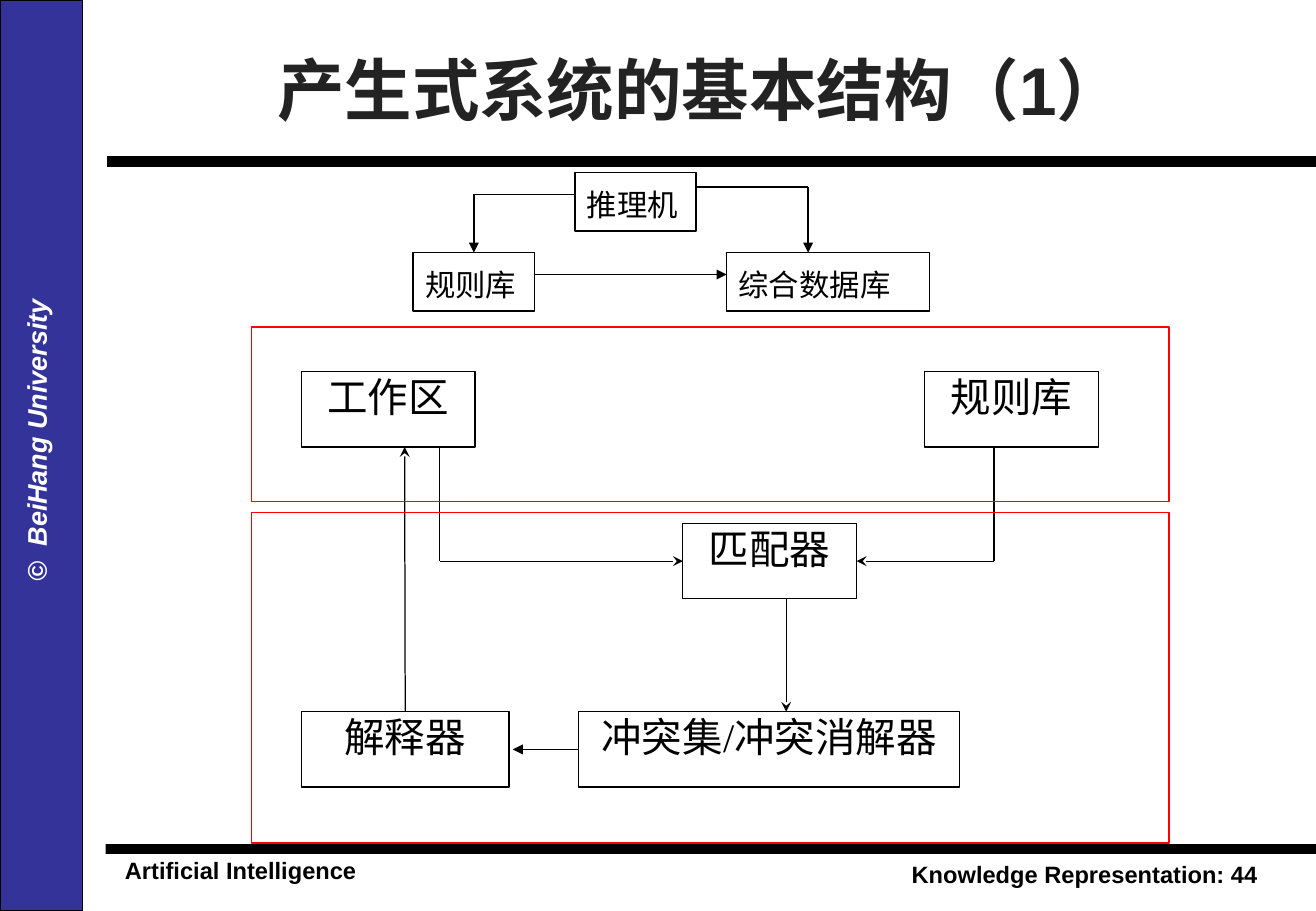
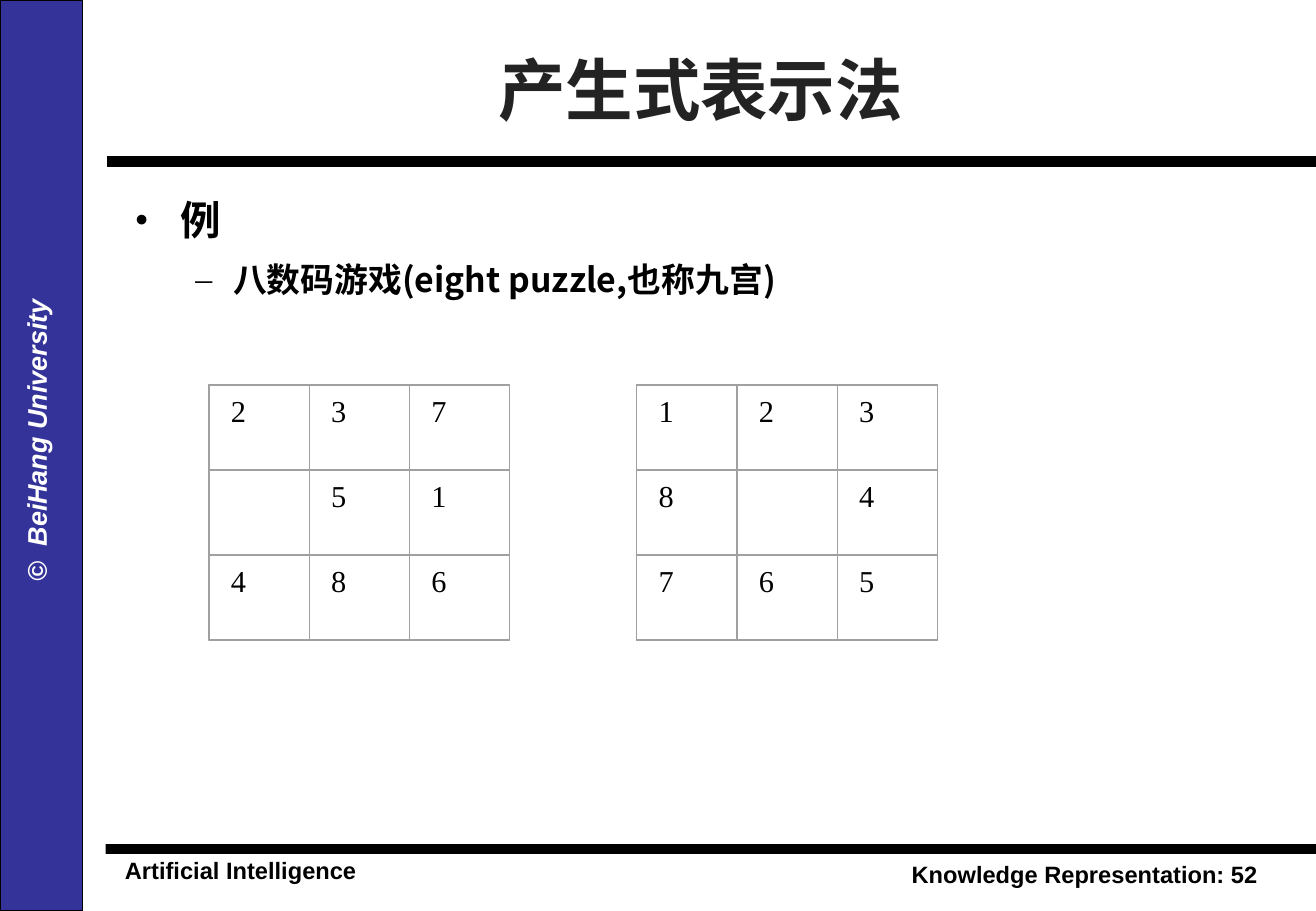
from dataclasses import dataclass

from lxml import etree
from pptx import Presentation
from pptx.dml.color import RGBColor
from pptx.enum.shapes import MSO_CONNECTOR, MSO_SHAPE
from pptx.enum.text import MSO_ANCHOR, MSO_AUTO_SIZE, PP_ALIGN
from pptx.oxml.ns import qn
from pptx.util import Inches, Pt

LEFT, CENTER, RIGHT = PP_ALIGN.LEFT, PP_ALIGN.CENTER, PP_ALIGN.RIGHT
JUSTIFY = PP_ALIGN.JUSTIFY
TOP, MIDDLE = MSO_ANCHOR.TOP, MSO_ANCHOR.MIDDLE
NO_AUTOFIT = MSO_AUTO_SIZE.NONE
RECTANGLE = MSO_SHAPE.RECTANGLE
STRAIGHT = MSO_CONNECTOR.STRAIGHT
TITLE_ONLY = 5
SIDE_TOP, SIDE_LEFT, SIDE_RIGHT = 0, 1, 3


@dataclass(frozen=True)
class Theme:
    black: str = "000000"
    white: str = "FFFFFF"
    band: str = "333399"
    title: str = "232323"
    frame: str = "FF0000"
    grid: str = "A0A0A0"
    sans: str = "Arial"
    serif: str = "Times New Roman"
    chinese: str = "Noto Sans CJK SC"
    title_size: int = 40
    large_size: int = 24
    medium_size: int = 20
    text_size: int = 18
    band_size: int = 16
    footer_size: int = 14


THEME = Theme()


# Text
def write(text_frame, text, *, size, font=THEME.sans, color=THEME.black,
          bold=False, italic=False, align=LEFT, anchor=TOP, top_inset=0.05,
          side_inset=0.1, line_spacing=None, wrap=True):
    text_frame.auto_size = NO_AUTOFIT
    text_frame.word_wrap = wrap
    text_frame.vertical_anchor = anchor
    text_frame.margin_left = text_frame.margin_right = Inches(side_inset)
    text_frame.margin_top = Inches(top_inset)
    text_frame.margin_bottom = Inches(0.05)
    paragraph = text_frame.paragraphs[0]
    paragraph.alignment = align
    if line_spacing:
        paragraph.line_spacing = line_spacing
    add_run(paragraph, text, size, font, color, bold, italic)


def add_run(paragraph, text, size, font, color=THEME.black, bold=False, italic=False):
    run = paragraph.add_run()
    run.text = text
    run.font.size = Pt(size)
    run.font.name = font
    run.font.bold = bold
    run.font.italic = italic
    run.font.color.rgb = RGBColor.from_string(color)
    latin = run.font._element.find(qn("a:latin"))
    east_asian = etree.Element(qn("a:ea"), typeface=THEME.chinese)
    latin.addnext(east_asian)


def add_text(slide, box, text, **text_format):
    shape = slide.shapes.add_textbox(*map(Inches, box))
    write(shape.text_frame, text, **text_format)
    return shape


def add_bullets(slide, box, items):
    text_frame = slide.shapes.add_textbox(*map(Inches, box)).text_frame
    text_frame.word_wrap = True
    for index, (text, symbol, size, margin, hanging) in enumerate(items):
        paragraph = text_frame.add_paragraph() if index else text_frame.paragraphs[0]
        properties = paragraph._p.get_or_add_pPr()
        properties.set("marL", str(Inches(margin)))
        properties.set("indent", str(-Inches(hanging)))
        etree.SubElement(properties, qn("a:buFont"), typeface=THEME.serif)
        etree.SubElement(properties, qn("a:buChar"), char=symbol)
        if index:
            paragraph.space_before = Pt(9)
        add_run(paragraph, text, size, THEME.chinese, bold=True)


# Shapes and lines
def add_box(slide, box, fill=None, line=THEME.black, width=1, text=None, **text_format):
    shape = slide.shapes.add_shape(RECTANGLE, *map(Inches, box))
    shape.shadow.inherit = False
    if fill:
        shape.fill.solid()
        shape.fill.fore_color.rgb = RGBColor.from_string(fill)
    else:
        shape.fill.background()
    if line:
        shape.line.color.rgb = RGBColor.from_string(line)
        shape.line.width = Pt(width)
    else:
        shape.line.fill.background()
    if text:
        write(shape.text_frame, text, **text_format)
    return shape


def add_path(slide, points, width=1, arrow=None, begin=None, end=None):
    """Draw straight segments; begin and end are (shape, side) joints."""
    segments = []
    for start, stop in zip(points, points[1:]):
        connector = slide.shapes.add_connector(STRAIGHT, *map(Inches, start + stop))
        connector.line.color.rgb = RGBColor.from_string(THEME.black)
        connector.line.width = Pt(width)
        etree.SubElement(connector._element.spPr, qn("a:effectLst"))
        segments.append(connector)
    if arrow:
        line = segments[-1].line._get_or_add_ln()
        etree.SubElement(line, qn("a:tailEnd"), type=arrow)
    if begin:
        segments[0].begin_connect(*begin)
    if end:
        segments[-1].end_connect(*end)


# Puzzle boards
def add_board(slide, left, top, rows):
    cell_width, cell_height = 0.825, 0.7
    for row_index, row in enumerate(rows):
        for column_index, digit in enumerate(row):
            cell = (left + column_index * cell_width, top + row_index * cell_height,
                    cell_width, cell_height)
            add_box(slide, cell, line=THEME.grid, width=0, text=digit.strip(),
                    size=THEME.text_size, font=THEME.serif, align=JUSTIFY,
                    top_inset=0.06, side_inset=0.18)
    add_box(slide, (left, top, cell_width * len(rows[0]), cell_height * len(rows)),
            line=THEME.grid, width=0.75)


# Shared slide frame
def add_slide(presentation, title, page):
    slide = presentation.slides.add_slide(presentation.slide_layouts[TITLE_ONLY])
    footer = dict(size=THEME.footer_size, bold=True)
    add_text(slide, (0.93, 7, 2.17, 0.33), "Artificial Intelligence", wrap=False, **footer)
    add_text(slide, (7.23, 7.03, 3.22, 0.33), f"Knowledge Representation: {page}",
             align=RIGHT, **footer)
    add_box(slide, (0.87, 6.95, 9.96, 0.08), fill=THEME.black, line=None)
    add_box(slide, (0, 0, 0.68, 7.5), fill=THEME.band)
    add_path(slide, [(0.88, 1.33), (10.83, 1.33)], width=6)
    owner = add_text(slide, (-3.29, 3.44, 7.18, 0.37), "©  BeiHang University",
                     size=THEME.band_size, color=THEME.white, bold=True, italic=True,
                     align=CENTER)
    owner.rotation = 270

    heading = slide.shapes.title
    heading.left, heading.top, heading.width, heading.height = map(
        Inches, (1.17, 0.21, 9.19, 1.03))
    write(heading.text_frame, title, size=THEME.title_size, color=THEME.title,
          bold=True, align=CENTER, anchor=MIDDLE)
    return slide


# Slide contents
def add_workflow(slide):
    def node(left, top, width, text):
        return add_box(slide, (left, top, width, 0.62), fill=THEME.white, width=0.75,
                       text=text, size=THEME.large_size, font=THEME.serif,
                       align=CENTER, top_inset=0)

    def flow(*points, **joints):
        add_path(slide, points, width=0.75, arrow="stealth", **joints)

    interpreter = node(2.48, 5.86, 1.71, "解释器")
    resolver = node(4.76, 5.86, 3.14, "冲突集/冲突消解器")
    node(2.48, 3.06, 1.43, "工作区")
    node(7.61, 3.06, 1.43, "规则库")
    matcher = node(5.62, 4.31, 1.43, "匹配器")

    flow((3.33, 5.86), (3.33, 3.68), begin=(interpreter, SIDE_TOP))
    flow((3.62, 3.68), (3.62, 4.62), (5.62, 4.62), end=(matcher, SIDE_LEFT))
    flow((8.18, 3.68), (8.18, 4.62), (7.05, 4.62), end=(matcher, SIDE_RIGHT))
    flow((6.47, 4.93), (6.47, 5.86))
    add_path(slide, [(4.76, 6.17), (4.22, 6.17)], arrow="triangle",
             begin=(resolver, SIDE_LEFT))

    for top, height in ((2.69, 1.44), (4.22, 2.72)):
        add_box(slide, (2.07, top, 7.55, height), line=THEME.frame)


def add_overview(slide):
    def node(left, top, width, text):
        return add_box(slide, (left, top, width, 0.48), text=text, size=THEME.text_size,
                       font=THEME.chinese, line_spacing=1.2)

    def flow(*points, **joints):
        add_path(slide, points, arrow="triangle", **joints)

    node(4.73, 1.42, 1, "推理机")
    rules = node(3.4, 2.08, 1, "规则库")
    node(5.98, 2.08, 1.67, "综合数据库")
    flow((4.4, 2.26), (5.98, 2.26))
    flow((5.73, 1.54), (6.65, 1.54), (6.65, 2.08))
    flow((4.73, 1.6), (3.9, 1.6), (3.9, 2.08), end=(rules, SIDE_TOP))


def main():
    presentation = Presentation()
    presentation.slide_width = Inches(10.83)
    presentation.slide_height = Inches(7.5)

    structure = add_slide(presentation, "产生式系统的基本结构（1）", 44)
    add_workflow(structure)
    add_overview(structure)

    puzzle = add_slide(presentation, "产生式表示法", 52)
    add_bullets(puzzle, (1.01, 1.56, 9.57, 1.36), [
        ("例", "•", THEME.large_size, 0.38, 0.38),
        ("八数码游戏(eight puzzle,也称九宫)", "–", THEME.medium_size, 0.81, 0.31),
    ])
    add_board(puzzle, 1.72, 3.17, ("237", " 51", "486"))
    add_board(puzzle, 5.24, 3.17, ("123", "8 4", "765"))

    presentation.save("out.pptx")


if __name__ == "__main__":
    main()
